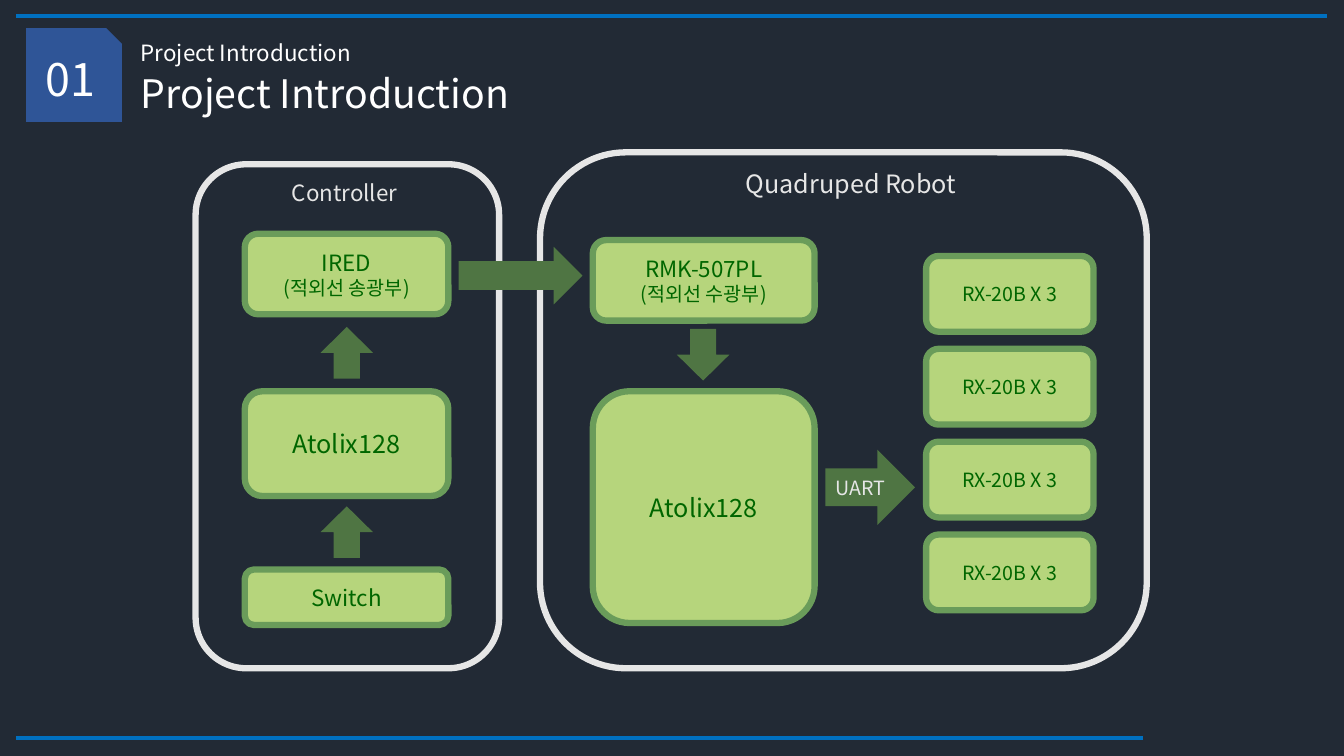
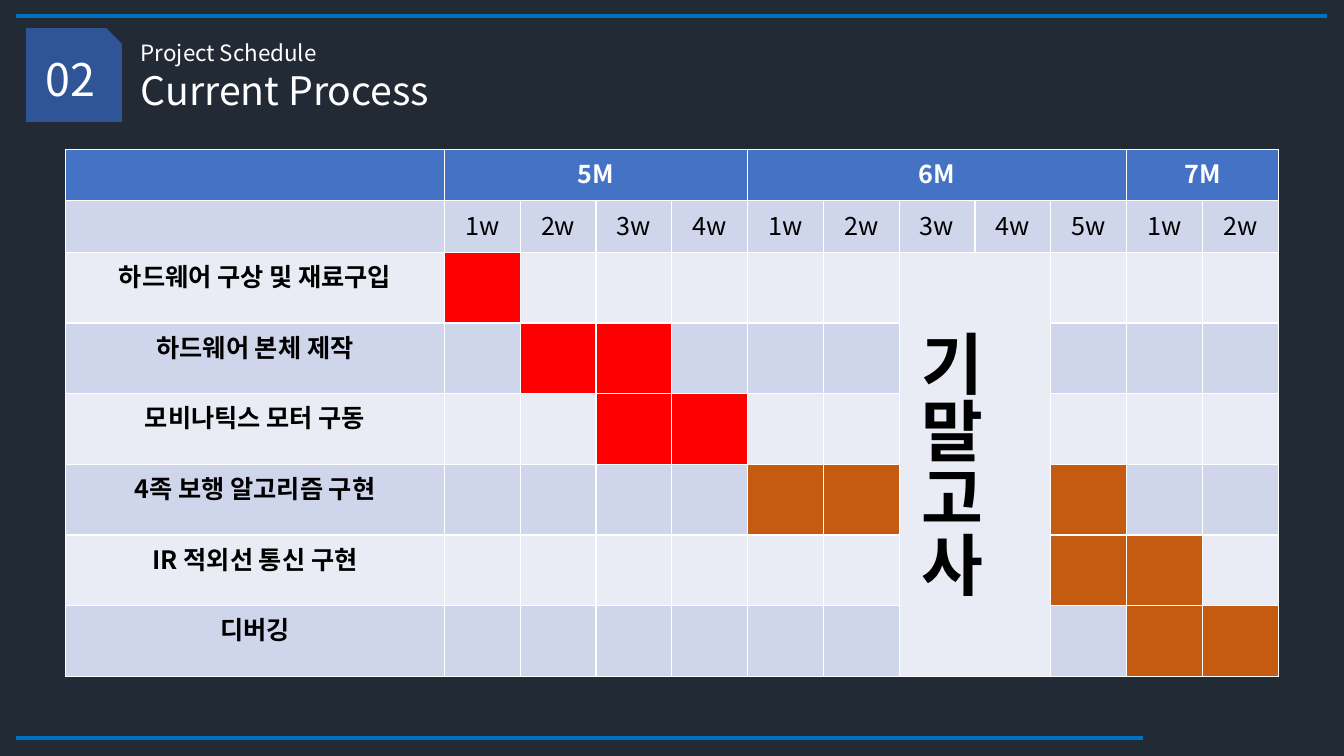
from lxml import etree
from pptx import Presentation
from pptx.dml.color import RGBColor
from pptx.enum.shapes import MSO_CONNECTOR, MSO_SHAPE
from pptx.enum.text import MSO_ANCHOR, PP_ALIGN
from pptx.oxml.ns import qn
from pptx.util import Cm, Pt

LINE = MSO_CONNECTOR.STRAIGHT
SNIP, ROUND = MSO_SHAPE.SNIP_1_RECTANGLE, MSO_SHAPE.ROUNDED_RECTANGLE
UP, DOWN, RIGHT = MSO_SHAPE.UP_ARROW, MSO_SHAPE.DOWN_ARROW, MSO_SHAPE.RIGHT_ARROW
LEFT, CENTER = PP_ALIGN.LEFT, PP_ALIGN.CENTER
TOP, MIDDLE = MSO_ANCHOR.TOP, MSO_ANCHOR.MIDDLE

FONT = "Noto Sans CJK KR"
NAVY, BADGE, RULE = "222A35", "2F5597", "0070C0"
WHITE, BLACK, PALE = "FFFFFF", "000000", "E6E6E6"
LIME, EDGE, ARROW, GREEN = "B6D57C", "6A9C5A", "4F7543", "006600"
HEAD, BANDS = "4472C4", ("CFD5EA", "E9EBF5")
DONE, PLAN = "FF0000", "C55A11"


def color(code):
    return RGBColor.from_string(code)


def paint(fill, code):
    fill.solid()
    fill.fore_color.rgb = color(code)


class Deck:
    """Holds the style and the current slide."""

    def __init__(self):
        self.file = Presentation()
        self.file.slide_width, self.file.slide_height = Cm(33.87), Cm(19.05)
        self.slide = None

    def page(self, number, topic, title, top):
        """Start a slide with its rules, badge and titles."""
        self.slide = self.file.slides.add_slide(self.file.slide_layouts[6])
        paint(self.slide.background.fill, NAVY)
        self.rule(0.41, 33.45)
        self.rule(18.59, 28.8)
        self.shape(SNIP, (0.66, 0.71, 2.41, 2.36), BADGE, None, [(number, 32)], WHITE)
        self.label((3.3, 0.86, 22.6, 0.94), topic, 16, WHITE, LEFT, TOP)
        self.label((3.3, top, 22.6, 1.45), title, 28, WHITE, LEFT, TOP)

    def put(self, frame, lines, ink, align=CENTER, bold=False):
        """Fill a text frame with (text, size) lines."""
        frame.word_wrap = True
        for i, (text, size) in enumerate(lines):
            para = frame.add_paragraph() if i else frame.paragraphs[0]
            para.text, para.alignment = text, align
            font = para.font
            font.size, font.bold, font.name = Pt(size), bold, FONT
            font.color.rgb = color(ink)
            props = para._p.pPr.find(qn("a:defRPr"))
            etree.SubElement(props, qn("a:ea")).set("typeface", FONT)

    def rule(self, y, end):
        line = self.slide.shapes.add_connector(LINE, Cm(0.41), Cm(y), Cm(end), Cm(y))
        line.line.color.rgb, line.line.width = color(RULE), Pt(3)
        etree.SubElement(line._element.spPr, qn("a:effectLst"))

    def label(self, box, text, size, ink, align=CENTER, anchor=MIDDLE):
        frame = self.slide.shapes.add_textbox(*map(Cm, box)).text_frame
        frame.vertical_anchor = anchor
        self.put(frame, [(text, size)], ink, align)

    def shape(self, kind, box, fill=None, edge=None, lines=(), ink=GREEN):
        item = self.slide.shapes.add_shape(kind, *map(Cm, box))
        item.shadow.inherit = False
        if fill:
            paint(item.fill, fill)
        else:
            item.fill.background()
        if edge:
            item.line.color.rgb, item.line.width = color(edge), Pt(4.5)
        else:
            item.line.fill.background()
        item.text_frame.vertical_anchor = MIDDLE
        self.put(item.text_frame, lines, ink)
        return item

    def node(self, box, *lines):
        self.shape(ROUND, box, LIME, EDGE, lines)

    def arrow(self, kind, box, *lines):
        frame = self.shape(kind, box, ARROW, None, lines, PALE).text_frame
        frame.margin_left = frame.margin_right = 0

    def table(self, left, top, cols, rows):
        grid = self.slide.shapes.add_table(
            len(rows), len(cols), Cm(left), Cm(top), Cm(sum(cols)), Cm(sum(rows))).table
        for col, width in zip(grid.columns, cols):
            col.width = Cm(width)
        for r, (row, height) in enumerate(zip(grid.rows, rows)):
            row.height = Cm(height)
            for cell in row.cells:
                paint(cell.fill, BANDS[(r + 1) % 2] if r else HEAD)
        return grid

    def cell(self, cell, text, ink=BLACK, bold=True, size=18):
        self.put(cell.text_frame, [(text, size)], ink, CENTER, bold)


def robot(deck):
    deck.page("01", "Project Introduction", "Project Introduction", 1.63)

    # Frames and their names
    deck.shape(ROUND, (4.93, 4.14, 7.65, 12.7), None, PALE)
    deck.shape(ROUND, (13.61, 3.84, 15.29, 13), None, PALE)
    deck.label((6.45, 4.09, 4.47, 1.52), "Controller", 16, PALE)
    deck.label((17.42, 3.86, 8.05, 1.55), "Quadruped Robot", 18, PALE)

    # Controller parts
    deck.node((6.17, 5.89, 5.13, 2.03), ("IRED", 16), ("(적외선 송광부)", 14))
    deck.node((6.17, 9.86, 5.13, 2.64), ("Atolix128", 18))
    deck.node((6.17, 14.35, 5.13, 1.4), ("Switch", 16))

    # Robot parts
    deck.node((14.94, 6.05, 5.59, 2.03), ("RMK-507PL", 16), ("(적외선 수광부)", 14))
    deck.node((14.94, 9.86, 5.59, 5.84), ("Atolix128", 18))
    for i in range(4):
        deck.node((23.34, 6.45 + 2.34 * i, 4.22, 1.91), ("RX-20B X 3", 14))

    # Signal flow
    for y in (8.24, 12.76):
        deck.arrow(UP, (8.08, y, 1.32, 1.3))
    deck.arrow(RIGHT, (11.56, 6.22, 3.12, 1.45))
    deck.arrow(DOWN, (17.06, 8.29, 1.32, 1.3))
    deck.arrow(RIGHT, (20.8, 11.33, 2.26, 1.9), ("UART", 14))


def plan(deck):
    deck.page("02", "Project Schedule", "Current Process", 1.55)
    months = [("5M", 4), ("6M", 5), ("7M", 2)]
    # Task, colour, busy week columns
    tasks = [
        ("하드웨어 구상 및 재료구입", DONE, [1]),
        ("하드웨어 본체 제작", DONE, [2, 3]),
        ("모비나틱스 모터 구동", DONE, [3, 4]),
        ("4족 보행 알고리즘 구현", PLAN, [5, 6, 9]),
        ("IR 적외선 통신 구현", PLAN, [9, 10]),
        ("디버깅", PLAN, [10, 11]),
    ]
    grid = deck.table(1.65, 3.76, [9.55] + [1.91] * 11, [1.3] * 2 + [1.78] * 6)

    # Months and weeks
    col = 1
    for month, weeks in months:
        grid.cell(0, col).merge(grid.cell(0, col + weeks - 1))
        deck.cell(grid.cell(0, col), month, WHITE)
        for week in range(weeks):
            deck.cell(grid.cell(1, col + week), f"{week + 1}w", bold=False)
        col += weeks

    # Tasks
    for row, (task, fill, busy) in enumerate(tasks, 2):
        deck.cell(grid.cell(row, 0), task)
        for col in busy:
            paint(grid.cell(row, col).fill, fill)

    # Exam weeks
    exam = grid.cell(2, 7)
    exam.merge(grid.cell(7, 8))
    deck.cell(exam, "기말고사", size=48)
    exam.vertical_anchor = MIDDLE
    exam._tc.tcPr.set("vert", "eaVert")


def main():
    deck = Deck()
    robot(deck)
    plan(deck)
    deck.file.save("out.pptx")


if __name__ == "__main__":
    main()
